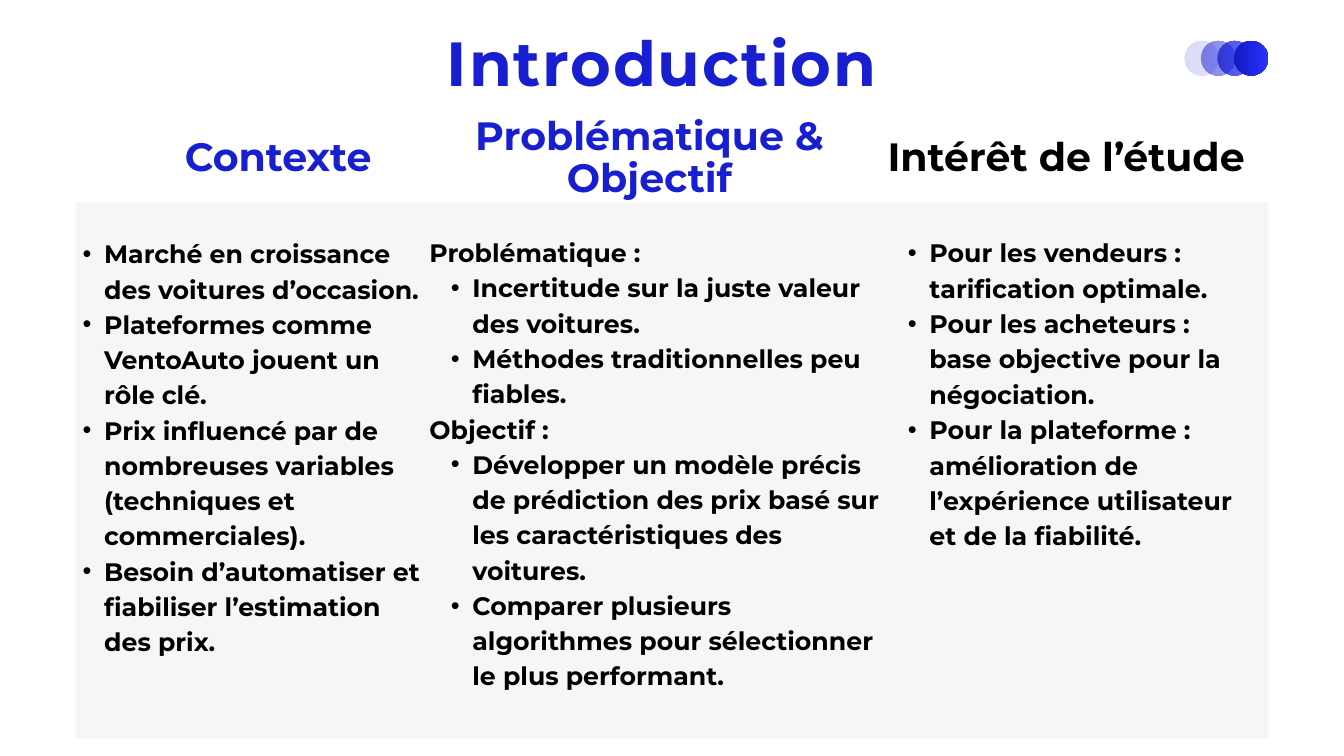
from lxml.etree import SubElement
from pptx import Presentation
from pptx.dml.color import RGBColor
from pptx.enum.shapes import MSO_SHAPE
from pptx.enum.text import MSO_ANCHOR, MSO_AUTO_SIZE, PP_ALIGN
from pptx.oxml.ns import qn
from pptx.util import Inches, Pt

BLUE = RGBColor(0x17, 0x1F, 0xD0)
DEEP = RGBColor(0x11, 0x19, 0xC2)
VIVID = RGBColor(0x29, 0x32, 0xFF)
BLACK = RGBColor(0, 0, 0)
GREY = RGBColor(0xF6, 0xF6, 0xF6)
FONT = "Montserrat"

deck = Presentation()
deck.slide_width, deck.slide_height = Inches(20), Inches(11.25)
slide = deck.slides.add_slide(deck.slide_layouts[5])
shapes = slide.shapes
CELL = deck.slide_width / 80  # grid of 80 columns by 45 rows


def grid(*cells):
    return [round(n * CELL) for n in cells]


def write(frame, text, size, color, lead, align=PP_ALIGN.LEFT, first=True, bullet=False):
    """Add one paragraph to a frame that has no inner margins."""
    frame.word_wrap, frame.auto_size = True, MSO_AUTO_SIZE.NONE
    frame.vertical_anchor = MSO_ANCHOR.TOP
    frame.margin_left = frame.margin_right = frame.margin_top = frame.margin_bottom = 0
    para = frame.paragraphs[0] if first else frame.add_paragraph()
    para.alignment, para.line_spacing = align, Pt(lead)
    if bullet:
        props = para._p.get_or_add_pPr()
        props.set("marL", str(Inches(0.64)))
        props.set("indent", str(Inches(-0.32)))
        SubElement(props, qn("a:buFont")).set("typeface", "Arial")
        SubElement(props, qn("a:buChar")).set("char", "•")
    run = para.add_run()
    run.text = text
    font = run.font
    font.name, font.size, font.bold = FONT, Pt(size), True
    font.color.rgb = color
    return run


# Title
title = shapes.title
title.left, title.top, title.width, title.height = grid(26.6, 0.68, 30, 5)
run = write(title.text_frame, "Introduction", 66.7, BLUE, 93.3)
run._r.get_or_add_rPr().set("spc", "190")

# Grey panel
panel = shapes.add_shape(MSO_SHAPE.RECTANGLE, *grid(4.5, 12.04, 71, 31.92))
panel.shadow.inherit = False
panel.fill.solid()
panel.fill.fore_color.rgb = GREY
panel.line.fill.background()

# Overlapping dots, ending at the right edge of the panel
SIZE, STEP = 2.06, 0.98
for i, alpha in enumerate((15, 50, 75, 100)):
    left = 75.5 - SIZE - STEP * (3 - i)
    dot = shapes.add_shape(MSO_SHAPE.OVAL, *grid(left, 2.44, SIZE, SIZE))
    dot.shadow.inherit = False
    dot.line.fill.background()
    dot.fill.gradient()
    dot.fill.gradient_angle = 0
    for stop, color in zip(dot.fill.gradient_stops, (DEEP, VIVID)):
        stop.color.rgb = color
    for node in dot._element.spPr.iter(qn("a:srgbClr")):
        SubElement(node, qn("a:alpha")).set("val", str(alpha * 1000))

# Column heads
heads = [
    ("Contexte", BLUE, 4.5, 8.16, 2.56),
    ("Problématique & Objectif", BLUE, 26.6, 6.88, 5.08),
    ("Intérêt de l’étude", BLACK, 51.4, 8.16, 2.56),
]
for text, color, left, top, height in heads:
    box = shapes.add_textbox(*grid(left, top, 24.12, height))
    write(box.text_frame, text, 42.3, color, 45.7, PP_ALIGN.CENTER)

# Column bodies: each line is (has a bullet, text)
bodies = [
    ((3.64, 13.9, 21.92, 27), 27, 37.8, [
        (True, "Marché en croissance des voitures d’occasion."),
        (True, "Plateformes comme VentoAuto jouent un rôle clé."),
        (True, "Prix influencé par de nombreuses variables (techniques et commerciales)."),
        (True, "Besoin d’automatiser et fiabiliser l’estimation des prix."),
    ]),
    ((25.56, 13.84, 27.2, 27), 27, 37.8, [
        (False, "Problématique :"),
        (True, "Incertitude sur la juste valeur des voitures."),
        (True, "Méthodes traditionnelles peu fiables."),
        (False, "Objectif :"),
        (True, "Développer un modèle précis de prédiction des prix basé sur "
               "les caractéristiques des voitures."),
        (True, "Comparer plusieurs algorithmes pour sélectionner le plus performant."),
    ]),
    ((52.76, 13.84, 21.4, 20.76), 27.1, 37.9, [
        (True, "Pour les vendeurs : tarification optimale."),
        (True, "Pour les acheteurs : base objective pour la négociation."),
        (True, "Pour la plateforme : amélioration de l’expérience utilisateur "
               "et de la fiabilité."),
    ]),
]
for place, size, lead, lines in bodies:
    frame = shapes.add_textbox(*grid(*place)).text_frame
    for i, (bullet, text) in enumerate(lines):
        write(frame, text, size, BLACK, lead, first=i == 0, bullet=bullet)

deck.save("out.pptx")
